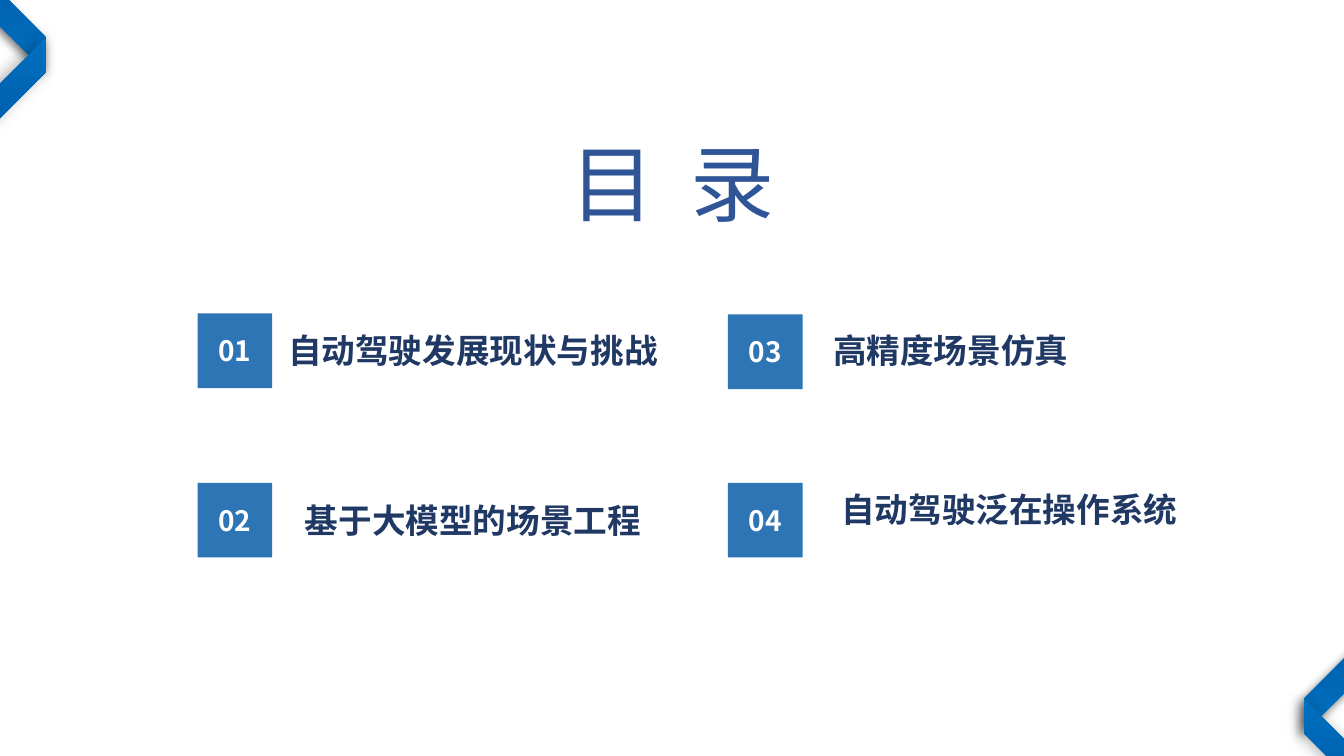
from dataclasses import dataclass

import pptx
import pptx.dml.color
import pptx.enum.shapes
import pptx.enum.text
import pptx.oxml
import pptx.oxml.ns
import pptx.util
from pptx.util import Inches

RGB = pptx.dml.color.RGBColor.from_string
SHAPE = pptx.enum.shapes.MSO_SHAPE
qn = pptx.oxml.ns.qn


@dataclass(frozen=True)
class Theme:
    font: str = "Noto Sans CJK SC"
    title_color: str = "2F5597"
    tile_color: str = "2E75B6"
    number_color: str = "FFFFFF"
    label_color: str = "203864"
    ribbon_start: str = "0070C0"
    ribbon_end: str = "002060"
    title_size: int = 60
    number_size: int = 20
    label_size: int = 24


@dataclass(frozen=True)
class Ribbon:
    left: float
    top: float
    size: float
    stripe: float
    flip_h: bool
    flip_v: bool
    shadow_alpha: int
    shadow_blur: int
    shadow_angle: int


@dataclass(frozen=True)
class Entry:
    number: str
    label: str
    tile: tuple[float, float]
    label_box: tuple[float, float, float, float]
    line_spacing: float = 1.0


THEME = Theme()
TILE_SIZE = 0.74
SHADOW_DISTANCE = 3

RIBBONS = [
    Ribbon(-4.02, -3.76, 4.48, 0.923, True, False, 54, 7, 135),
    Ribbon(-3.35, 0.37, 3.81, 0.91, True, True, 30, 11, 180),
    Ribbon(12.93, 2.8, 4.48, 0.923, False, False, 54, 7, 135),
    Ribbon(12.93, 6.93, 3.81, 0.91, False, True, 30, 11, 180),
]

ENTRIES = [
    Entry("01", "自动驾驶发展现状与挑战", (1.96, 3.11), (2.48, 3.09, 4.42, 0.77)),
    Entry("02", "基于大模型的场景工程", (1.96, 4.79), (2.85, 4.74, 3.68, 0.64), 1.5),
    Entry("03", "高精度场景仿真", (7.22, 3.12), (7.59, 3.22, 3.68, 0.5)),
    Entry("04", "自动驾驶泛在操作系统", (7.22, 4.79), (8.17, 4.8, 3.68, 0.5)),
]


def write_text(box, text: str, *, size: int, color: str, bold: bool = False,
               line_spacing: float = 1.0, tracking: int = 0) -> None:
    """Fill a box with one centred line; tracking is in points."""
    frame = box.text_frame
    frame.word_wrap = True
    frame.auto_size = pptx.enum.text.MSO_AUTO_SIZE.NONE
    frame.vertical_anchor = pptx.enum.text.MSO_ANCHOR.MIDDLE
    para = frame.paragraphs[0]
    para.alignment = pptx.enum.text.PP_ALIGN.CENTER
    para.line_spacing = line_spacing
    span = para.add_run()
    span.text = text
    span.font.size = pptx.util.Pt(size)
    span.font.bold = bold
    span.font.color.rgb = RGB(color)
    span.font.name = THEME.font
    properties = span.font._element
    east_asian = pptx.oxml.parse_xml(
        f'<a:ea {pptx.oxml.ns.nsdecls("a")} typeface="{THEME.font}"/>')
    properties.find(qn("a:latin")).addnext(east_asian)
    if tracking:
        properties.set("spc", str(tracking * 100))


def add_shadow(shape, ribbon: Ribbon) -> None:
    effects = shape._element.spPr.find(qn("a:effectLst"))
    effects.append(pptx.oxml.parse_xml(
        f'<a:outerShdw {pptx.oxml.ns.nsdecls("a")} '
        f'blurRad="{pptx.util.Pt(ribbon.shadow_blur)}" '
        f'dist="{pptx.util.Pt(SHADOW_DISTANCE)}" '
        f'dir="{ribbon.shadow_angle * 60000}" algn="ctr" rotWithShape="0">'
        f'<a:srgbClr val="000000"><a:alpha val="{ribbon.shadow_alpha * 1000}"/>'
        '</a:srgbClr></a:outerShdw>'))


def add_ribbon(page, ribbon: Ribbon) -> None:
    shape = page.shapes.add_shape(
        SHAPE.DIAGONAL_STRIPE, Inches(ribbon.left), Inches(ribbon.top),
        Inches(ribbon.size), Inches(ribbon.size))
    shape.adjustments[0] = ribbon.stripe
    shape.line.fill.background()
    shape.fill.gradient()
    shape.fill.gradient_angle = 90
    stops = shape.fill.gradient_stops
    for stop, position, color in zip(
            stops, (0, 0.98), (THEME.ribbon_start, THEME.ribbon_end)):
        stop.position = position
        stop.color.rgb = RGB(color)
    transform = shape._element.spPr.find(qn("a:xfrm"))
    for name, flipped in (("flipH", ribbon.flip_h), ("flipV", ribbon.flip_v)):
        if flipped:
            transform.set(name, "1")
    shape.shadow.inherit = False
    add_shadow(shape, ribbon)


def add_entry(page, entry: Entry) -> None:
    left, top = entry.tile
    tile = page.shapes.add_shape(
        SHAPE.RECTANGLE, Inches(left), Inches(top),
        Inches(TILE_SIZE), Inches(TILE_SIZE))
    tile.shadow.inherit = False
    tile.fill.solid()
    tile.fill.fore_color.rgb = RGB(THEME.tile_color)
    tile.line.fill.background()
    write_text(tile, entry.number, size=THEME.number_size,
               color=THEME.number_color, bold=True)
    label = page.shapes.add_textbox(*map(Inches, entry.label_box))
    write_text(label, entry.label, size=THEME.label_size,
               color=THEME.label_color, bold=True,
               line_spacing=entry.line_spacing)


def add_title(page) -> None:
    title = page.shapes.title
    title.left, title.top = Inches(4.93), Inches(1.25)
    title.width, title.height = Inches(3.48), Inches(1.11)
    write_text(title, "目 录", size=THEME.title_size,
               color=THEME.title_color, tracking=6)


def main() -> None:
    deck = pptx.Presentation()
    deck.slide_width, deck.slide_height = Inches(13.33), Inches(7.5)
    page = deck.slides.add_slide(deck.slide_layouts.get_by_name("Title Only"))
    add_title(page)
    for ribbon in RIBBONS:
        add_ribbon(page, ribbon)
    for entry in ENTRIES:
        add_entry(page, entry)
    deck.save("out.pptx")


if __name__ == "__main__":
    main()
